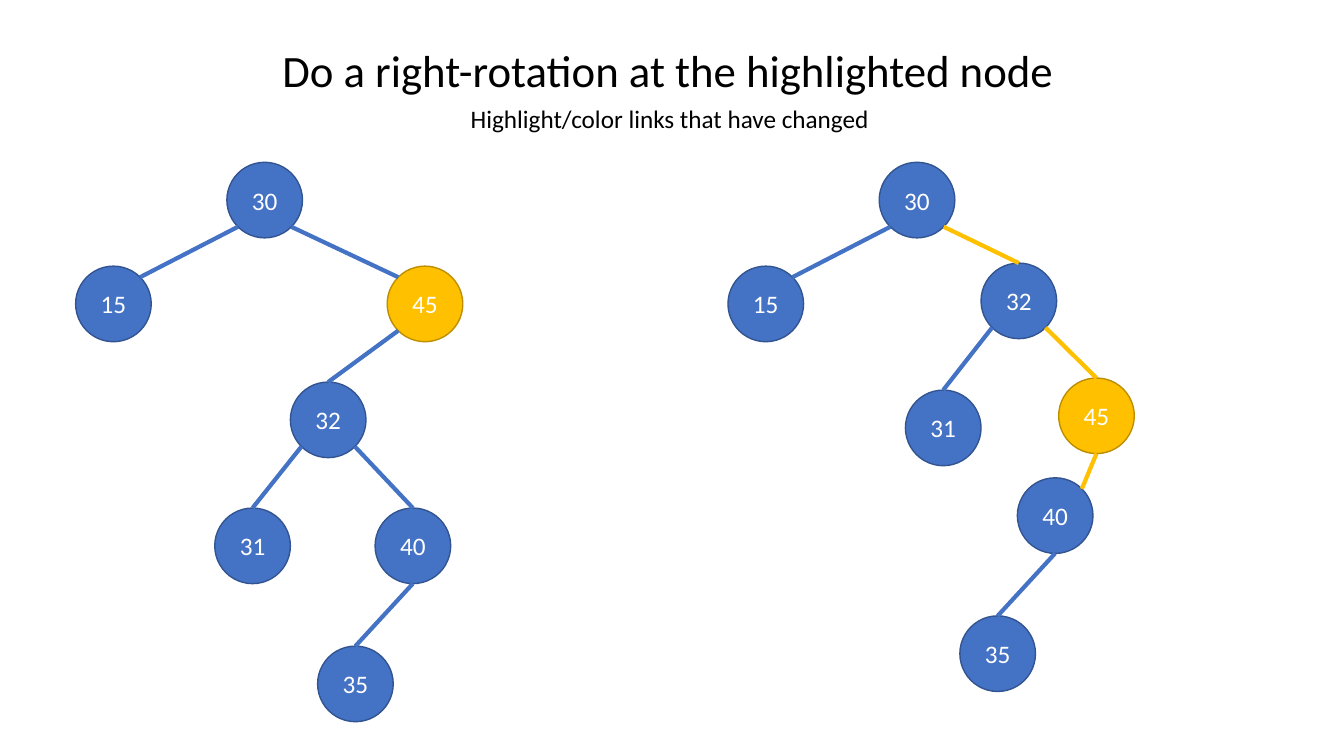
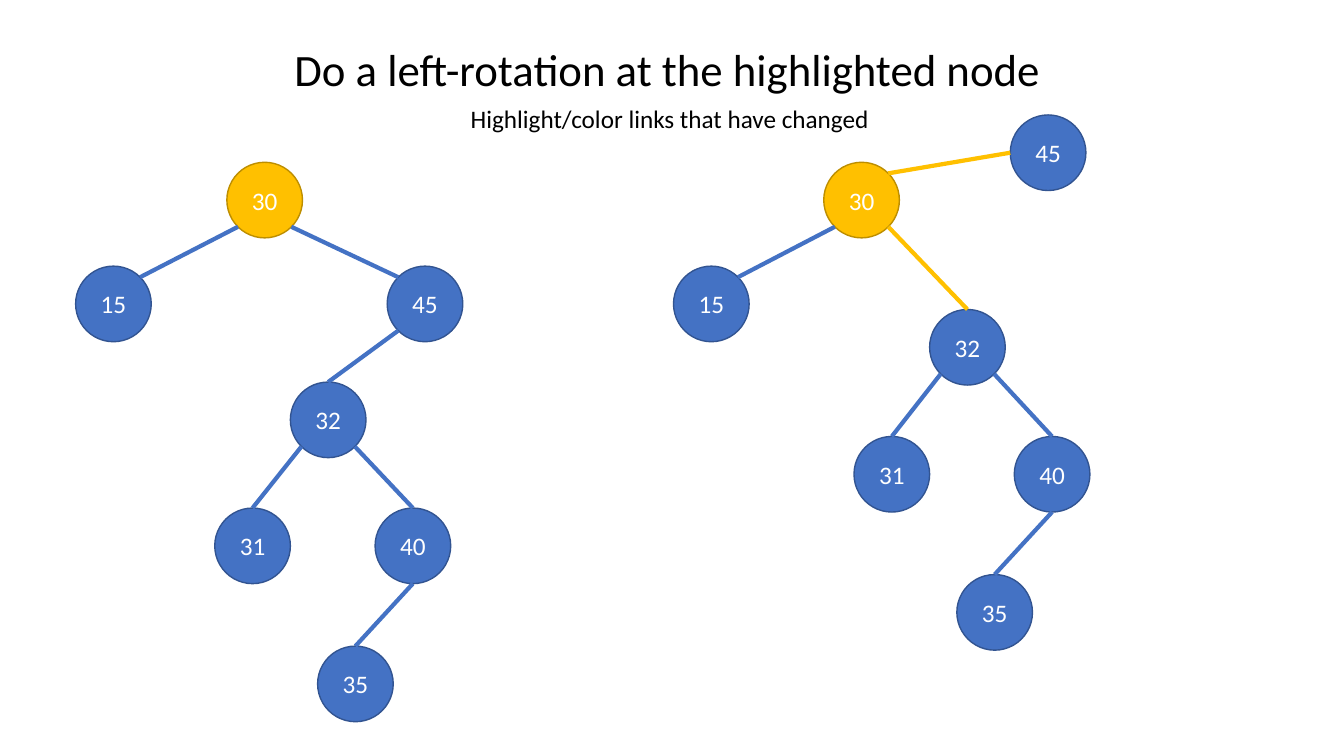
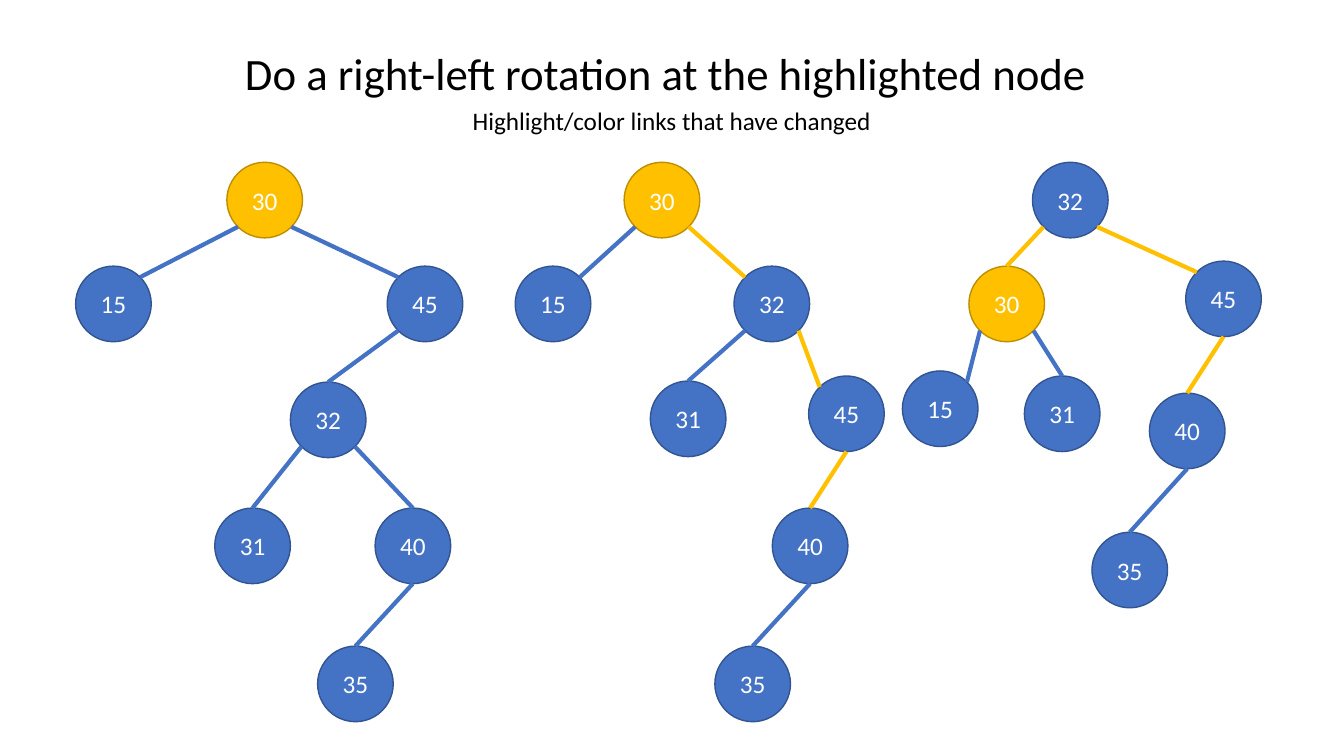
from lxml import etree
from pptx import Presentation
from pptx.dml.color import RGBColor
from pptx.enum.shapes import MSO_CONNECTOR as Connector, MSO_SHAPE as Shape
from pptx.enum.text import MSO_ANCHOR as Anchor, MSO_AUTO_SIZE as AutoSize, PP_ALIGN as Align
from pptx.oxml.ns import qn
from pptx.util import Inches, Pt

COLORS = {
    "text": "000000",
    "label": "FFFFFF",
    "node": "4472C4",
    "node_edge": "325491",
    "highlight": "FFC000",
    "highlight_edge": "BD8E00",
}
FONT = "Calibri"
DIAMETER = 0.75
NEAR, FAR = 0.11, 0.64
MID = DIAMETER / 2

SITES = {
    "top": (0, MID, 0),
    "top_left": (1, NEAR, NEAR),
    "left": (2, 0, MID),
    "bottom_left": (3, NEAR, FAR),
    "bottom": (4, MID, DIAMETER),
    "bottom_right": (5, FAR, FAR),
    "top_right": (7, FAR, NEAR),
}

START_TREE = {
    "origin": (0.75, 1.61),
    "nodes": {30: (1.5, 0), 45: (3.09, 1.03), 15: (0, 1.03), 40: (2.97, 3.43),
              31: (1.38, 3.43), 32: (2.13, 2.18), 35: (2.4, 4.8)},
    "kept": [(32, "bottom_left", 31, "top"), (45, "bottom_left", 32, "top"),
             (30, "bottom_right", 45, "top_left"), (32, "bottom_right", 40, "top")],
    "changed": [],
}
RIGHT_ROTATED = {
    "origin": (7.22, 1.61),
    "nodes": {30: (1.5, 0), 45: (3.28, 2.14), 15: (0, 1.03), 40: (2.87, 3.13),
              31: (1.76, 2.26), 32: (2.51, 1), 35: (2.3, 4.5)},
    "kept": [(32, "bottom_left", 31, "top")],
    "changed": [(30, "bottom_right", 32, "top"), (32, "bottom_right", 45, "top"),
                (45, "bottom", 40, "top_right")],
}
LEFT_ROTATED = {
    "origin": (6.68, 1.14),
    "nodes": {30: (1.49, 0.47), 45: (3.34, 0), 15: (0, 1.5), 40: (3.38, 3.19),
              31: (1.79, 3.19), 32: (2.54, 1.93), 35: (2.81, 4.56)},
    "kept": [(32, "bottom_left", 31, "top"), (32, "bottom_right", 40, "top")],
    "changed": [(30, "bottom_right", 32, "top"), (30, "top_right", 45, "left")],
}
RIGHT_STEP = {
    "origin": (5.11, 1.61),
    "nodes": {30: (1.08, 0), 45: (2.91, 2.12), 15: (0, 1.03), 40: (2.55, 3.43),
              31: (1.34, 2.17), 32: (2.17, 1.03), 35: (1.98, 4.8)},
    "kept": [(32, "bottom_left", 31, "top")],
    "changed": [(32, "bottom_right", 45, "top_left"), (30, "bottom_right", 32, "top_left"),
                (45, "bottom", 40, "top")],
}
LEFT_STEP = {
    "origin": (8.95, 1.61),
    "nodes": {30: (0.66, 1.03), 45: (2.81, 0.98), 15: (0, 2.07), 40: (2.45, 2.29),
              31: (1.21, 2.12), 32: (1.29, 0), 35: (1.88, 3.67)},
    "kept": [(30, "bottom_right", 31, "top")],
    "changed": [(32, "bottom_right", 45, "top_left"), (32, "bottom_left", 30, "top"),
                (45, "bottom", 40, "top")],
}
SHARED_LINKS = [(30, "bottom_left", 15, "top_right"), (40, "bottom", 35, "top")]

SLIDES = [
    ("Do a right-rotation at the highlighted node", (2.7, 0.37, 7.94, 0.64), (4.57, 0.98),
     45, [START_TREE, RIGHT_ROTATED]),
    ("Do a left-rotation at the highlighted node", (2.82, 0.36, 7.69, 0.64), (4.57, 0.98),
     30, [START_TREE, LEFT_ROTATED]),
    ("Do a right-left rotation at the highlighted node", (2.33, 0.4, 8.67, 0.64), (4.59, 1),
     30, [START_TREE, RIGHT_STEP, LEFT_STEP]),
]


def color(name):
    return RGBColor.from_string(COLORS[name])


def write(shape, text, size, ink, align):
    shape.text_frame.text = text
    paragraph = shape.text_frame.paragraphs[0]
    paragraph.alignment = align
    paragraph.font.name = FONT
    paragraph.font.size = Pt(size)
    paragraph.font.color.rgb = color(ink)


def write_heading(shape, text, size):
    write(shape, text, size, "text", Align.LEFT)
    frame = shape.text_frame
    frame.word_wrap = False
    frame.auto_size = AutoSize.SHAPE_TO_FIT_TEXT
    frame.vertical_anchor = Anchor.TOP


def add_header(slide, heading, box, hint_at):
    title = slide.shapes.title
    title.left, title.top, title.width, title.height = map(Inches, box)
    write_heading(title, heading, 32)
    hint = slide.shapes.add_textbox(*map(Inches, (*hint_at, 4.2, 0.4)))
    write_heading(hint, "Highlight/color links that have changed", 18)


def add_node(slide, key, x, y, style):
    node = slide.shapes.add_shape(Shape.OVAL, *map(Inches, (x, y, DIAMETER, DIAMETER)))
    node.shadow.inherit = False
    node.fill.solid()
    node.fill.fore_color.rgb = color(style)
    node.line.color.rgb = color(style + "_edge")
    node.line.width = Pt(1)
    write(node, str(key), 18, "label", Align.CENTER)
    node.text_frame.vertical_anchor = Anchor.MIDDLE
    return node


def add_link(slide, parent, parent_site, child, child_site, style):
    ends = [(parent, SITES[parent_site], "a:stCxn"), (child, SITES[child_site], "a:endCxn")]
    points = [length for node, (_, dx, dy), _ in ends
              for length in (node.left + Inches(dx), node.top + Inches(dy))]
    link = slide.shapes.add_connector(Connector.STRAIGHT, *points)
    link.line.color.rgb = color(style)
    link.line.width = Pt(3)
    etree.SubElement(link._element.spPr, qn("a:effectLst"))
    joints = link._element.xpath(".//p:cNvCxnSpPr")[0]
    for node, (site, _, _), tag in ends:
        etree.SubElement(joints, qn(tag), id=str(node.shape_id), idx=str(site))


def add_tree(slide, tree, highlighted):
    left, top = tree["origin"]
    nodes = {
        key: add_node(slide, key, left + x, top + y,
                      "highlight" if key == highlighted else "node")
        for key, (x, y) in tree["nodes"].items()
    }
    for style, links in (("node", SHARED_LINKS + tree["kept"]), ("highlight", tree["changed"])):
        for parent, parent_site, child, child_site in links:
            add_link(slide, nodes[parent], parent_site, nodes[child], child_site, style)


def main():
    deck = Presentation()
    deck.slide_width, deck.slide_height = Inches(13.33), Inches(7.5)
    title_only = deck.slide_layouts[5]
    for heading, title_box, hint_at, highlighted, trees in SLIDES:
        slide = deck.slides.add_slide(title_only)
        add_header(slide, heading, title_box, hint_at)
        for tree in trees:
            add_tree(slide, tree, highlighted)
    deck.save("out.pptx")


if __name__ == "__main__":
    main()
